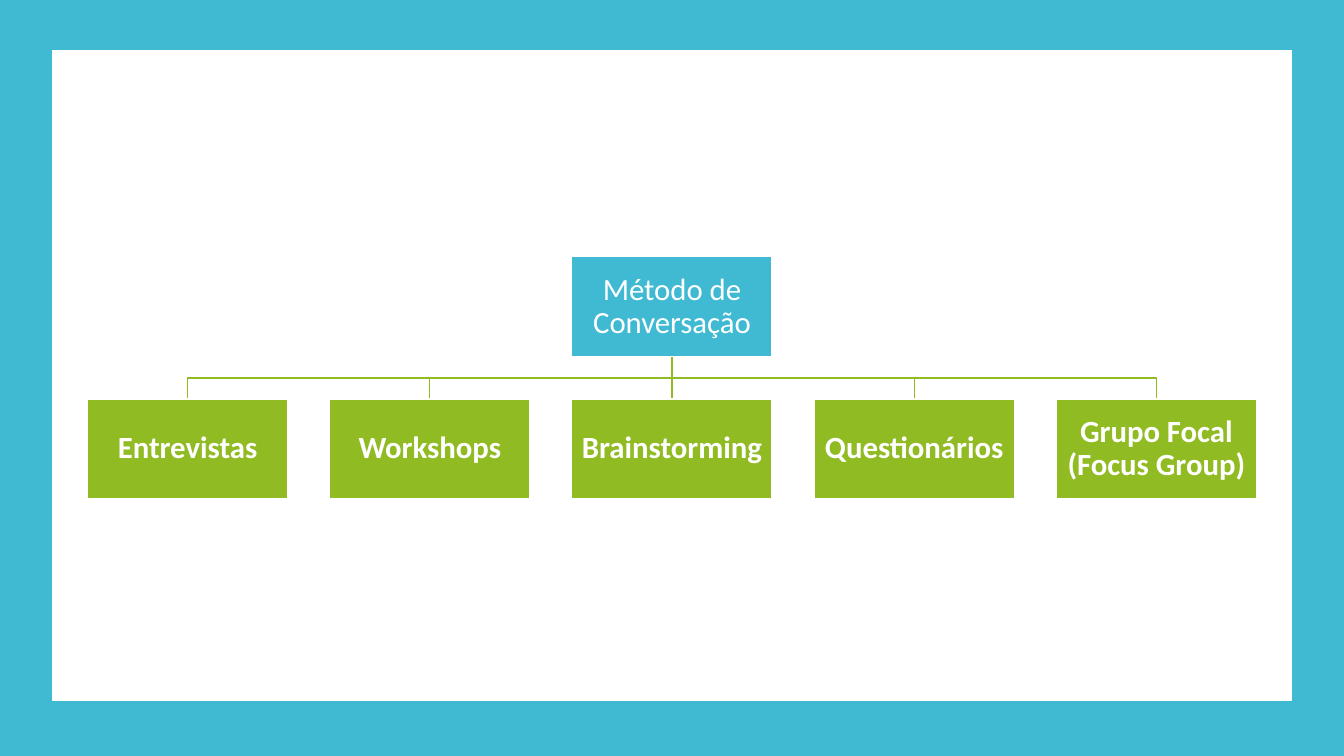
"""Build a slide with an organisation chart of conversation methods."""
from dataclasses import dataclass

from lxml.etree import SubElement
from pptx import Presentation
from pptx.dml.color import RGBColor
from pptx.enum.shapes import MSO_CONNECTOR, MSO_SHAPE
from pptx.enum.text import MSO_ANCHOR, PP_ALIGN
from pptx.oxml.ns import qn
from pptx.util import Pt


@dataclass(frozen=True)
class Theme:
    blue: RGBColor = RGBColor(0x40, 0xBA, 0xD2)
    green: RGBColor = RGBColor(0x90, 0xBB, 0x23)
    white: RGBColor = RGBColor(0xFF, 0xFF, 0xFF)
    font: str = "Calibri"
    label_size: float = 22
    line_width: float = 0.85


THEME = Theme()
SLIDE_WIDTH, SLIDE_HEIGHT = 960, 540
CENTER = SLIDE_WIDTH / 2
BOX_WIDTH, BOX_HEIGHT = 143, 71.5
PITCH = 173
ROOT_TOP, METHODS_TOP = 183.5, 285
METHODS = ["Entrevistas", "Workshops", "Brainstorming", "Questionários",
           "Grupo Focal (Focus Group)"]


def add_panel(slide, left, top, width, height, fill, outline=None):
    panel = slide.shapes.add_shape(
        MSO_SHAPE.RECTANGLE, Pt(left), Pt(top), Pt(width), Pt(height))
    panel.shadow.inherit = False
    panel.fill.solid()
    panel.fill.fore_color.rgb = fill
    if outline is None:
        panel.line.fill.background()
    else:
        style_line(panel.line, outline)
    return panel


def style_line(line, color):
    line.color.rgb = color
    line.width = Pt(THEME.line_width)


def write_text(frame, text, *, size, color, bold=False, inset=1.5):
    frame.word_wrap = True
    frame.vertical_anchor = MSO_ANCHOR.MIDDLE
    frame.margin_left = frame.margin_right = Pt(inset)
    frame.margin_top = frame.margin_bottom = Pt(inset)
    paragraph = frame.paragraphs[0]
    paragraph.text = text
    paragraph.alignment = PP_ALIGN.CENTER
    paragraph.line_spacing = 0.9
    paragraph.font.name = THEME.font
    paragraph.font.size = Pt(size)
    paragraph.font.bold = bold
    paragraph.font.color.rgb = color


def add_node(slide, center, top, label, fill, bold=False):
    node = add_panel(slide, center - BOX_WIDTH / 2, top, BOX_WIDTH, BOX_HEIGHT,
                     fill, THEME.white)
    write_text(node.text_frame, label, size=THEME.label_size,
               color=THEME.white, bold=bold)


def add_branch(slide, center):
    start = ROOT_TOP + BOX_HEIGHT
    middle = (start + METHODS_TOP) / 2
    if center == CENTER:
        branch = slide.shapes.add_connector(
            MSO_CONNECTOR.STRAIGHT, Pt(center), Pt(start), Pt(center), Pt(METHODS_TOP))
        SubElement(branch.line._get_or_add_ln().getparent(), qn("a:effectLst"))
    else:
        builder = slide.shapes.build_freeform(Pt(CENTER), Pt(start))
        corners = [(CENTER, middle), (center, middle), (center, METHODS_TOP)]
        builder.add_line_segments([(Pt(x), Pt(y)) for x, y in corners], close=False)
        branch = builder.convert_to_shape()
        branch.shadow.inherit = False
        branch.fill.background()
    style_line(branch.line, THEME.green)


def main():
    presentation = Presentation()
    presentation.slide_width = Pt(SLIDE_WIDTH)
    presentation.slide_height = Pt(SLIDE_HEIGHT)
    slide = presentation.slides.add_slide(presentation.slide_layouts[6])

    add_panel(slide, 0, 0, SLIDE_WIDTH, SLIDE_HEIGHT, THEME.blue)
    add_panel(slide, 37.5, 36, 885, 464.5, THEME.white, THEME.white)

    middle_index = len(METHODS) // 2
    centers = [CENTER + (index - middle_index) * PITCH for index in range(len(METHODS))]
    for center in reversed(centers):
        add_branch(slide, center)
    add_node(slide, CENTER, ROOT_TOP, "Método de Conversação", THEME.blue)
    for center, method in zip(centers, METHODS):
        add_node(slide, center, METHODS_TOP, method, THEME.green, bold=True)

    presentation.save("out.pptx")


if __name__ == "__main__":
    main()
